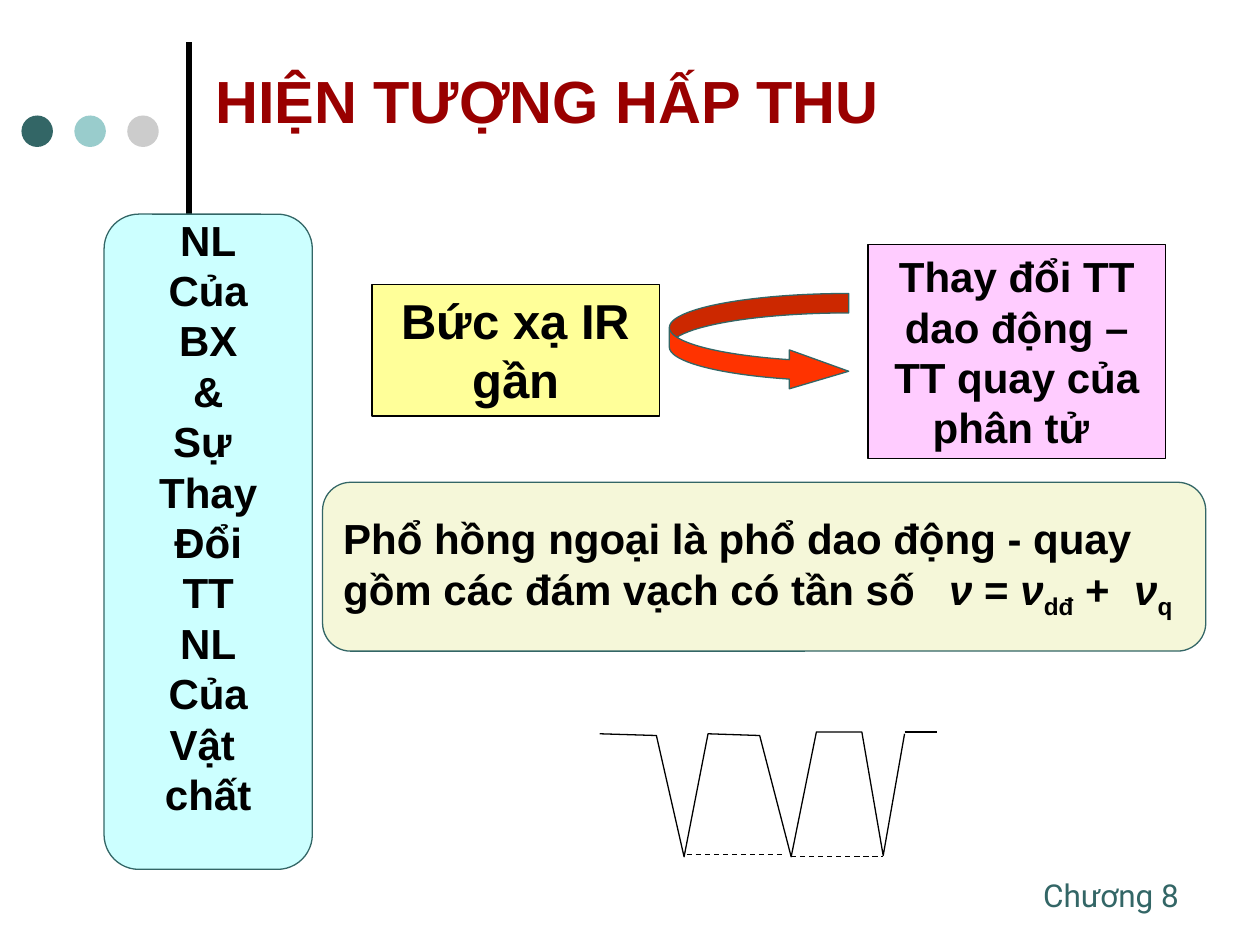
from dataclasses import dataclass
from lxml.etree import SubElement
from pptx import Presentation
from pptx.dml.color import RGBColor
from pptx.enum.dml import MSO_LINE
from pptx.enum.shapes import MSO_CONNECTOR, MSO_SHAPE
from pptx.enum.text import MSO_ANCHOR, PP_ALIGN
from pptx.oxml.ns import qn
from pptx.util import Pt


@dataclass(frozen=True)
class Theme:
    ink: str = "000000"
    teal: str = "336666"
    dots: tuple = ("336666", "99CCCC", "CCCCCC")
    title: str = "990000"
    panel: str = "CCFFFF"
    cause: str = "FFFF99"
    effect: str = "FFCCFF"
    arrow: str = "FF3300"
    note: str = "F5F7D9"
    font: str = "Arial"
    footer_font: str = "Roboto"
    title_size: int = 34
    cause_size: int = 28
    body_size: int = 24
    footer_size: int = 18
    thin: float = 0.75
    thick: float = 3


THEME = Theme()


def rgb(value):
    return RGBColor.from_string(value)


def add_block(slide, kind, box, fill, line=None):
    block = slide.shapes.add_shape(kind, *map(Pt, box))
    block.shadow.inherit = False
    block.fill.solid()
    block.fill.fore_color.rgb = rgb(fill)
    if line:
        block.line.color.rgb = rgb(line)
        block.line.width = Pt(THEME.thin)
    else:
        block.line.fill.background()
    return block


def add_rule(slide, start, end, width=THEME.thin, dashed=False):
    rule = slide.shapes.add_connector(MSO_CONNECTOR.STRAIGHT, *map(Pt, start + end))
    rule.line.color.rgb = rgb(THEME.ink)
    rule.line.width = Pt(width)
    if dashed:
        rule.line.dash_style = MSO_LINE.DASH
    SubElement(rule._element.spPr, qn("a:effectLst"))


def style(paragraph, size, color=THEME.ink, font=THEME.font, bold=True, align=PP_ALIGN.LEFT):
    paragraph.alignment = align
    paragraph.font.size = Pt(size)
    paragraph.font.name = font
    paragraph.font.bold = bold
    paragraph.font.color.rgb = rgb(color)


def write(shape, lines, size, anchor=MSO_ANCHOR.MIDDLE, **look):
    frame = shape.text_frame
    frame.word_wrap = True
    frame.vertical_anchor = anchor
    for index, line in enumerate(lines):
        paragraph = frame.add_paragraph() if index else frame.paragraphs[0]
        paragraph.text = line
        style(paragraph, size, **look)
    return frame


def add_tabs(paragraph, stops):
    tabs = SubElement(paragraph._p.get_or_add_pPr(), qn("a:tabLst"))
    for stop in stops:
        SubElement(tabs, qn("a:tab"), pos=str(Pt(stop)), algn="l")


def header(slide, box):
    left, top, width, height = box
    diameter, pitch = 18, 30.24
    for index, color in enumerate(THEME.dots):
        dot = (left + 12.24 + index * pitch, top + 46, diameter, diameter)
        add_block(slide, MSO_SHAPE.OVAL, dot, color)
    add_rule(slide, (left + 108, top + 106), (left + 108, top + 4), THEME.thick)
    title = slide.shapes.add_textbox(Pt(left + 116), Pt(top), Pt(width - 116), Pt(height))
    write(title, ["HIỆN TƯỢNG HẤP THU"], THEME.title_size, color=THEME.title)


def energy_panel(slide, box):
    panel = add_block(slide, MSO_SHAPE.ROUNDED_RECTANGLE, box, THEME.panel, THEME.teal)
    words = ["NL", "Của", "BX", "&", "Sự ", "Thay", "Đổi", "TT", "NL", "Của", "Vật ", "chất"]
    frame = write(panel, words, THEME.body_size, align=PP_ALIGN.CENTER)
    frame.margin_bottom = Pt(32.4)


def cause_and_effect(slide, box):
    left, top, width, height = box
    cause = add_block(slide, MSO_SHAPE.RECTANGLE, (left, top + 23, 164.5, 75), THEME.cause, THEME.ink)
    write(cause, ["Bức xạ IR gần"], THEME.cause_size, MSO_ANCHOR.TOP, align=PP_ALIGN.CENTER)
    arrow = add_block(slide, MSO_SHAPE.CURVED_RIGHT_ARROW, (left + 170, top + 28, 102.5, 55.6),
                      THEME.arrow, THEME.teal)
    for index, share in enumerate((0.2, 0.4, 0.61)):
        arrow.adjustments[index] = share
    effect = add_block(slide, MSO_SHAPE.RECTANGLE, (left + width - 170, top, 170, height),
                       THEME.effect, THEME.ink)
    write(effect, ["Thay đổi TT dao động – TT quay của phân tử "], THEME.body_size,
          MSO_ANCHOR.TOP, align=PP_ALIGN.CENTER)


def spectrum_note(slide, box):
    note = add_block(slide, MSO_SHAPE.ROUNDED_RECTANGLE, box, THEME.note, THEME.teal)
    frame = write(note, ["Phổ hồng ngoại là phổ dao động - quay"], THEME.body_size)
    formula = frame.add_paragraph()
    add_tabs(formula, (346.3, 452))
    style(formula, THEME.body_size)
    pieces = [("gồm các đám vạch có tần số\t", ""), ("ν ", "italic"), ("= ", ""), ("ν", "italic"),
              ("dđ", "sub"), (" +\t", ""), ("ν", "italic"), ("q", "sub")]
    for text, role in pieces:
        run = formula.add_run()
        run.text = text
        if role == "italic":
            run.font.italic = True
        elif role == "sub":
            run.font._element.set("baseline", "-25000")


def absorption_curve(slide, box):
    left, top, width, depth = box
    points = [(0, 1), (32.4, 2), (48.2, depth), (61.9, 1), (91.4, 2), (109.4, depth),
              (123.8, 0), (149.8, 0), (162, depth - 0.7), (174.2, 1)]
    vertices = [(Pt(left + x), Pt(top + y)) for x, y in points]
    builder = slide.shapes.build_freeform(*vertices[0])
    builder.add_line_segments(vertices[1:], close=False)
    curve = builder.convert_to_shape()
    curve.shadow.inherit = False
    curve.fill.background()
    curve.line.color.rgb = rgb(THEME.ink)
    curve.line.width = Pt(THEME.thin)
    add_rule(slide, (left + 174.2, top), (left + width, top))
    for start, end, level in ((49.7, 105.8, depth - 1.4), (109.4, 162, depth)):
        add_rule(slide, (left + start, top + level), (left + end, top + level), dashed=True)


def footer(slide, box):
    chapter = slide.shapes.add_textbox(*map(Pt, box))
    write(chapter, ["Chương 8"], THEME.footer_size, MSO_ANCHOR.TOP,
          color=THEME.teal, font=THEME.footer_font, bold=False)


def main():
    deck = Presentation()
    deck.slide_width, deck.slide_height = Pt(720), Pt(540)
    slide = deck.slides.add_slide(deck.slide_layouts[6])
    header(slide, (0, 20, 720, 73.5))
    footer(slide, (589, 497, 97, 29))
    cause_and_effect(slide, (212.5, 139.7, 453.5, 122.4))
    absorption_curve(slide, (342.7, 418.3, 193, 71.3))
    energy_panel(slide, (59.5, 122.4, 119, 374.4))
    spectrum_note(slide, (184.3, 275.6, 504.7, 96.5))
    deck.save("out.pptx")


if __name__ == "__main__":
    main()
